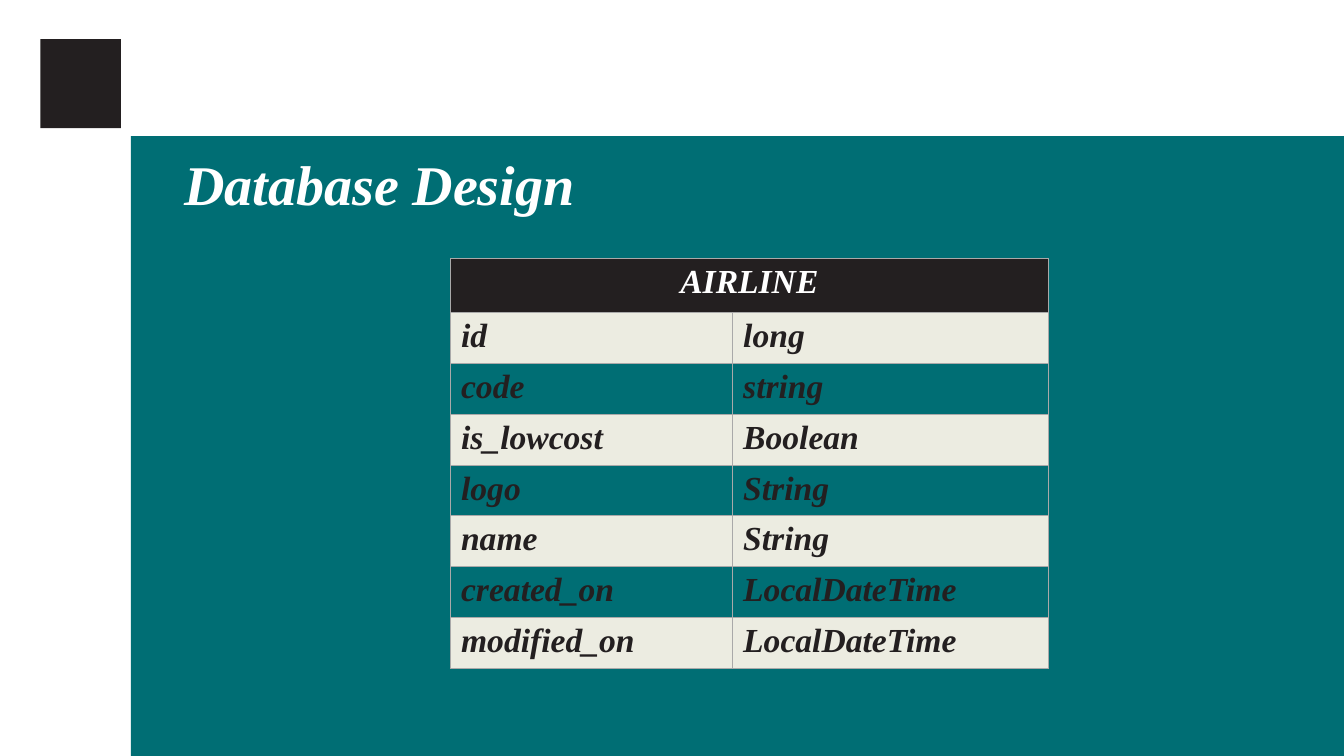
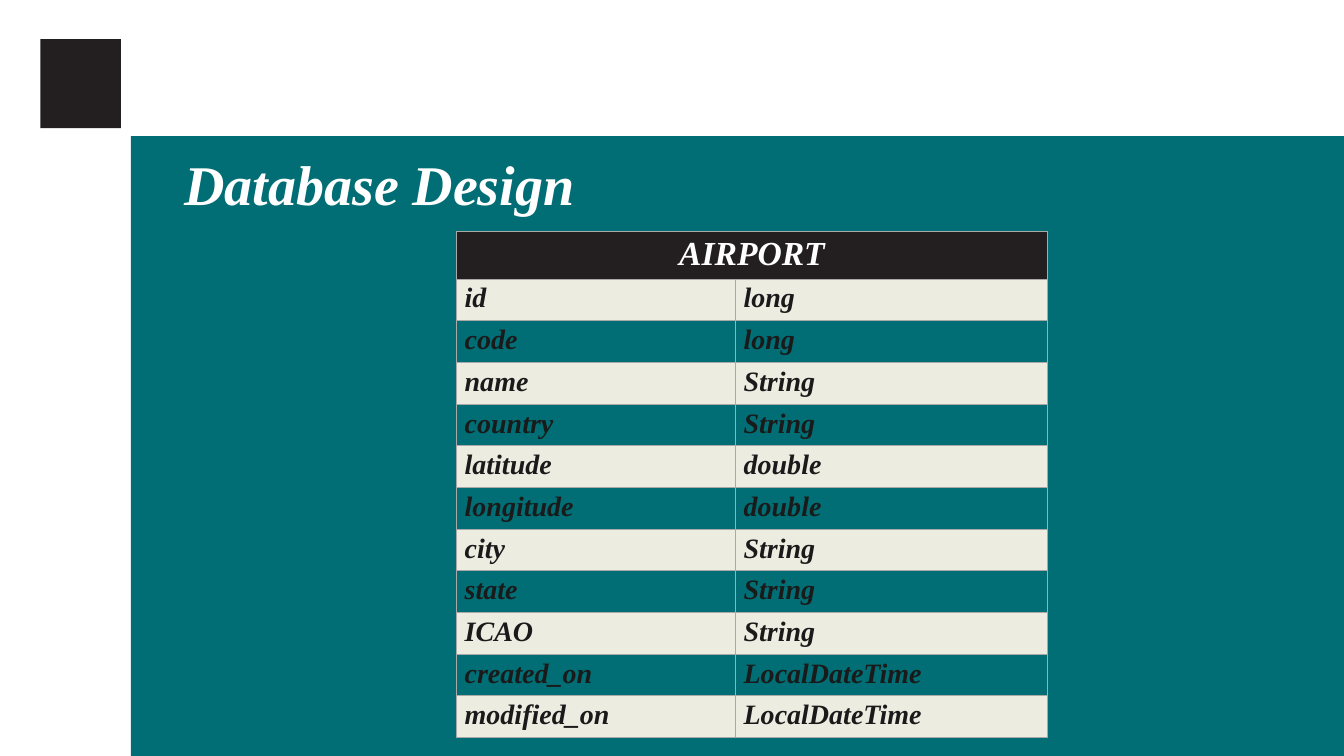
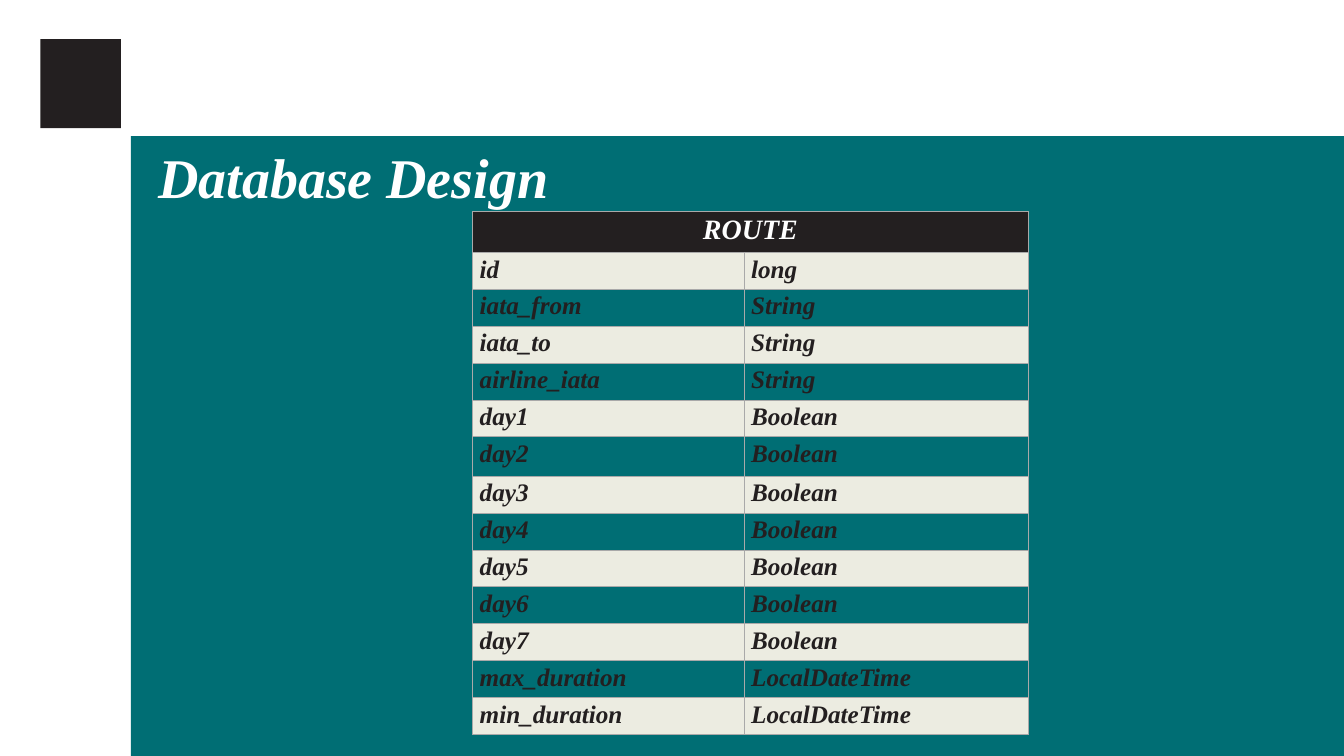
from lxml.etree import SubElement, Element
from pptx import Presentation
from pptx.dml.color import RGBColor
from pptx.enum.shapes import MSO_SHAPE as Shape
from pptx.enum.text import MSO_ANCHOR as Anchor, MSO_AUTO_SIZE as AutoSize, PP_ALIGN as Align
from pptx.oxml.ns import qn
from pptx.util import Cm, Pt

TEAL, INK, CHARCOAL, CREAM, WHITE, GREY = "006E74", "231F20", "1A1A1A", "ECECE1", "FFFFFF", "A9A9A9"
SLIDE_WIDTH, SLIDE_HEIGHT = 33.87, 19.05
BAND_BOX = (3.3, 3.43, SLIDE_WIDTH - 3.3, SLIDE_HEIGHT - 3.43)
MARK_BOX = (1.02, 0.99, 2.03, 2.24)
FONT = {"name": "Times New Roman", "bold": True, "italic": True}
TITLE_FRAME = {
    "margin_left": 0, "margin_right": 0, "margin_top": 0, "margin_bottom": 0,
    "word_wrap": True, "auto_size": AutoSize.NONE, "vertical_anchor": Anchor.TOP,
}
PLAIN_TABLE = {"first_row": False, "horz_banding": False}

AIRLINE = [
    ("id", "long"), ("code", "string"), ("is_lowcost", "Boolean"), ("logo", "String"),
    ("name", "String"), ("created_on", "LocalDateTime"), ("modified_on", "LocalDateTime"),
]
AIRPORT = [
    ("id", "long"), ("code", "long"), ("name", "String"), ("country", "String"),
    ("latitude", "double"), ("longitude", "double"), ("city", "String"), ("state", "String"),
    ("ICAO", "String"), ("created_on", "LocalDateTime"), ("modified_on", "LocalDateTime"),
]
ROUTE = [
    ("id", "long"), ("iata_from", "String"), ("iata_to", "String"), ("airline_iata", "String"),
    *((f"day{number}", "Boolean") for number in range(1, 8)),
    ("max_duration", "LocalDateTime"), ("min_duration", "LocalDateTime"),
]

ENTITIES = [
    {
        "title_at": (4.65, 3.76), "table_at": (11.35, 6.51), "name": "AIRLINE", "fields": AIRLINE,
        "columns": (7.11, 7.96), "header_height": 1.37, "row_height": 1.28, "tall_rows": {},
        "sizes": (24, 24), "ink": INK, "insets": (0.27, 0.13),
    },
    {
        "title_at": (4.65, 3.76), "table_at": (11.51, 5.83), "name": "AIRPORT", "fields": AIRPORT,
        "columns": (7.03, 7.85), "header_height": 1.2, "row_height": 1.05, "tall_rows": {},
        "sizes": (24, 20), "ink": CHARCOAL, "insets": (0.2, 0.1),
    },
    {
        "title_at": (3.99, 3.6), "table_at": (11.91, 5.33), "name": "ROUTE", "fields": ROUTE,
        "columns": (6.84, 7.16), "header_height": 1.03, "row_height": 0.93, "tall_rows": {6: 0.99},
        "sizes": (20, 18), "ink": INK, "insets": (0.18, 0.08),
    },
]


def color(value):
    return RGBColor.from_string(value)


def apply_format(target, values):
    for name, value in values.items():
        setattr(target, name, value)


def write_text(frame, text, size, ink, alignment=Align.LEFT):
    paragraph = frame.paragraphs[0]
    paragraph.alignment = alignment
    run = paragraph.add_run()
    run.text = text
    apply_format(run.font, {**FONT, "size": Pt(size)})
    run.font.color.rgb = color(ink)


def add_block(slide, box, fill):
    shape = slide.shapes.add_shape(Shape.RECTANGLE, *map(Cm, box))
    shape.shadow.inherit = False
    shape.fill.solid()
    shape.fill.fore_color.rgb = color(fill)
    shape.line.fill.background()
    return shape


def build_layout(layout, slide):
    for placeholder in list(layout.placeholders)[1:]:
        layout.shapes.element.remove(placeholder.element)
    blocks = [add_block(slide, BAND_BOX, TEAL), add_block(slide, MARK_BOX, INK)]
    for position, block in enumerate(blocks, start=2):
        layout.shapes.element.insert(position, block.element)


def place_title(slide, left, top):
    title = slide.shapes.title
    apply_format(title, {"left": Cm(left), "top": Cm(top), "width": Cm(20.8), "height": Cm(1.7)})
    apply_format(title.text_frame, TITLE_FRAME)
    write_text(title.text_frame, "Database Design", 40, WHITE)
    title.text_frame.paragraphs[0].space_before = Pt(0)


def draw_borders(cell):
    properties = cell._tc.get_or_add_tcPr()
    for position, side in enumerate(("lnL", "lnR", "lnT", "lnB")):
        line = Element(qn(f"a:{side}"), w=str(Pt(0.75)))
        fill = SubElement(line, qn("a:solidFill"))
        SubElement(fill, qn("a:srgbClr"), val=GREY)
        properties.insert(position, line)


def format_cell(cell, fill, insets):
    horizontal, vertical = map(Cm, insets)
    apply_format(cell, {
        "margin_left": horizontal, "margin_right": horizontal,
        "margin_top": vertical, "margin_bottom": vertical, "vertical_anchor": Anchor.TOP,
    })
    if fill:
        cell.fill.solid()
        cell.fill.fore_color.rgb = color(fill)
    else:
        cell.fill.background()
    draw_borders(cell)


def add_entity_table(slide, entity):
    fields, columns = entity["fields"], entity["columns"]
    heights = [entity["header_height"]] + [
        entity["tall_rows"].get(index, entity["row_height"]) for index in range(1, len(fields) + 1)
    ]
    box = (*entity["table_at"], sum(columns), sum(heights))
    table = slide.shapes.add_table(len(heights), len(columns), *map(Cm, box)).table
    apply_format(table, PLAIN_TABLE)
    for column, width in zip(table.columns, columns):
        column.width = Cm(width)
    for index, height in enumerate(heights):
        table.rows[index].height = Cm(height)
        fill = INK if index == 0 else CREAM if index % 2 else None
        for cell in table.rows[index].cells:
            format_cell(cell, fill, entity["insets"])

    header_size, field_size = entity["sizes"]
    header = table.cell(0, 0)
    header.merge(table.cell(0, 1))
    write_text(header.text_frame, entity["name"], header_size, WHITE, Align.CENTER)
    for row, field in enumerate(fields, start=1):
        for column, text in enumerate(field):
            write_text(table.cell(row, column).text_frame, text, field_size, entity["ink"])


def main():
    presentation = Presentation()
    apply_format(presentation, {"slide_width": Cm(SLIDE_WIDTH), "slide_height": Cm(SLIDE_HEIGHT)})
    layout = presentation.slide_layouts[5]
    slides = [presentation.slides.add_slide(layout) for _ in ENTITIES]
    build_layout(layout, slides[0])
    for slide, entity in zip(slides, ENTITIES):
        place_title(slide, *entity["title_at"])
        add_entity_table(slide, entity)
    presentation.save("out.pptx")


if __name__ == "__main__":
    main()
